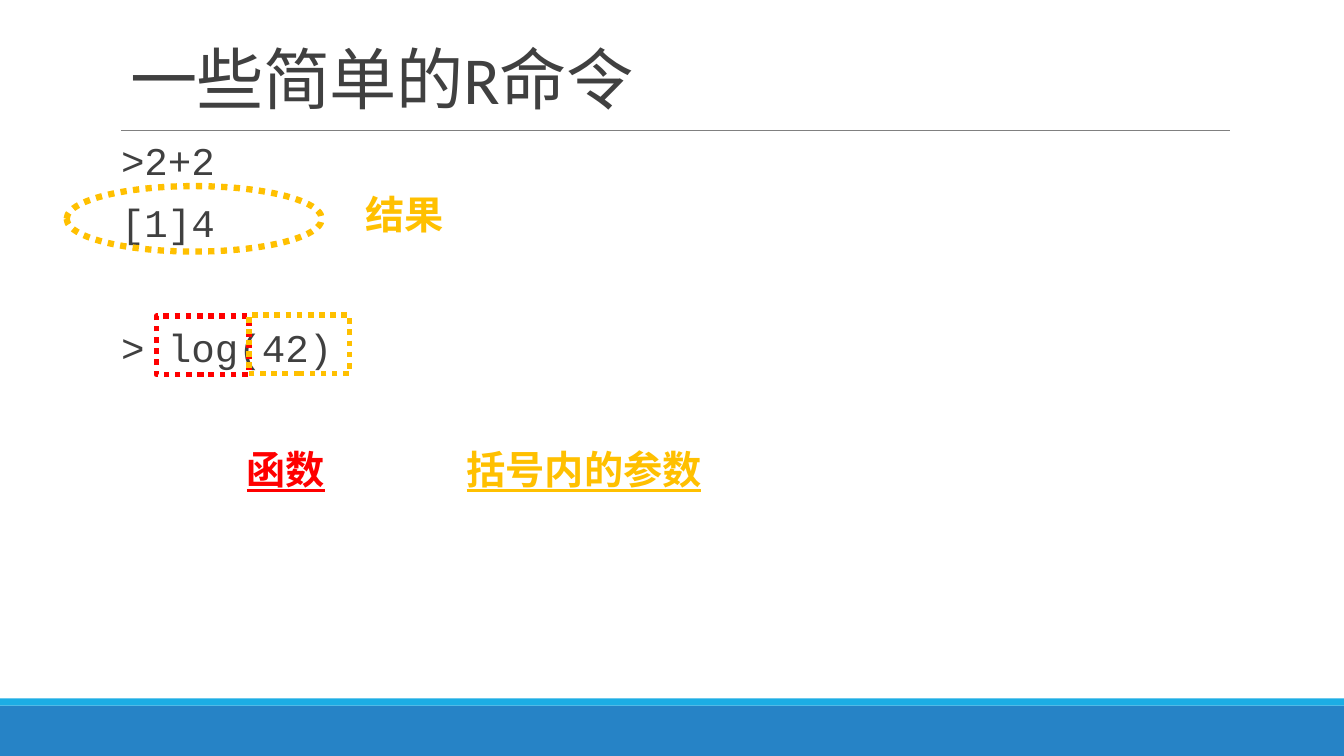
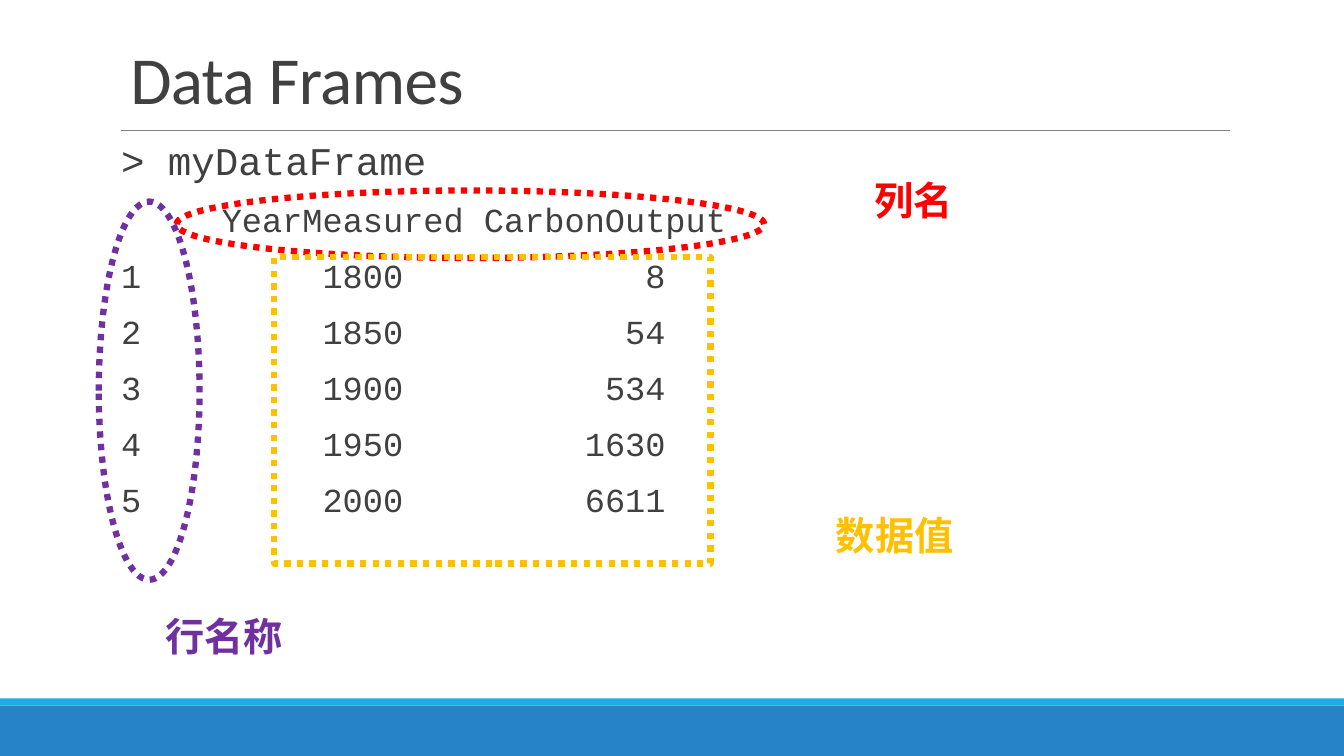
from lxml.etree import SubElement
from pptx import Presentation
from pptx.dml.color import RGBColor
from pptx.enum.dml import MSO_LINE
from pptx.enum.shapes import MSO_CONNECTOR, MSO_SHAPE
from pptx.enum.text import MSO_ANCHOR, MSO_AUTO_SIZE, PP_ALIGN
from pptx.oxml.ns import qn
from pptx.util import Cm, Pt

BLUE = RGBColor(0x26, 0x83, 0xC6)
CYAN = RGBColor(0x1C, 0xAD, 0xE4)
GREY = RGBColor(0x80, 0x80, 0x80)
DARK = RGBColor(0x40, 0x40, 0x40)
RED = RGBColor(0xFF, 0x00, 0x00)
GOLD = RGBColor(0xFF, 0xC0, 0x00)
PURPLE = RGBColor(0x70, 0x30, 0xA0)

WIDTH, HEIGHT = 33.87, 19.05
LEFT, CONTENT_WIDTH = 3.05, 27.94
LABEL_HEIGHT = 1.45
RECT, OVAL = MSO_SHAPE.RECTANGLE, MSO_SHAPE.OVAL
CODE_FONT = "Courier New"

TABLE_TOP, ROW_HEIGHT = 6.35, 1.41
COLUMN_WIDTHS = [2.54, 4.57, 6.61]
COLUMN_ALIGNS = [PP_ALIGN.LEFT, PP_ALIGN.RIGHT, PP_ALIGN.RIGHT]

SLIDES = [
    {
        "title": "一些简单的R命令",
        "lines": [(">2+2", 28, 12, 0), ("[1]4", 28, 12, 0), ("> log(42)", 28, 56.6, 0)],
        "rows": [],
        "marks": [
            (RECT, 3.94, 7.97, 2.34, 1.47, RED, 4),
            (RECT, 6.27, 7.94, 2.54, 1.47, GOLD, 4),
            (OVAL, 1.68, 4.69, 6.43, 1.65, GOLD, 4.5),
        ],
        "labels": [
            ("函数", 5.97, 11.1, 5.28, RED),
            ("括号内的参数", 11.51, 11.1, 15.67, GOLD),
            ("结果", 8.95, 4.67, 10.59, GOLD),
        ],
        "underlined": ("函数", "括号内的参数"),
        "align": PP_ALIGN.LEFT,
    },
    {
        "title": "Data Frames",
        "lines": [
            ("> myDataFrame", 28, 12, 0),
            ("YearMeasured CarbonOutput", 24, 12, 2.54),
        ],
        "rows": [(1, 1800, 8), (2, 1850, 54), (3, 1900, 534), (4, 1950, 1630), (5, 2000, 6611)],
        "marks": [
            (OVAL, 4.45, 4.8, 14.81, 1.7, RED, 4.5),
            (OVAL, 2.49, 5.08, 2.54, 9.53, PURPLE, 4.5),
            (RECT, 6.91, 6.48, 11, 7.72, GOLD, 4.5),
        ],
        "labels": [
            ("列名", 19.27, 4.32, 7.52, RED),
            ("行名称", 0, 15.31, 11.3, PURPLE),
            ("数据值", 19.27, 12.75, 6.55, GOLD),
        ],
        "underlined": (),
        "align": PP_ALIGN.CENTER,
    },
]


def place(shape, left, top, width, height):
    shape.left, shape.top = Cm(left), Cm(top)
    shape.width, shape.height = Cm(width), Cm(height)


def add_run(paragraph, text, size, color, font_name="Calibri"):
    run = paragraph.add_run()
    run.text = text
    run.font.name = font_name
    run.font.size = Pt(size)
    run.font.color.rgb = color
    return run


presentation = Presentation()
presentation.slide_width, presentation.slide_height = Cm(WIDTH), Cm(HEIGHT)
layout = presentation.slide_layouts[1]
place(layout.placeholders[0], 3.03, 0.34, CONTENT_WIDTH, 2.77)
place(layout.placeholders[1], LEFT, 3.45, CONTENT_WIDTH, 14.05)
slides = [presentation.slides.add_slide(layout) for _ in SLIDES]

shapes = slides[0].shapes
decorations = []
for top, height, color in [(17.78, 1.27, BLUE), (17.6, 0.18, CYAN)]:
    band = shapes.add_shape(RECT, 0, Cm(top), Cm(WIDTH), Cm(height))
    band.shadow.inherit = False
    band.fill.solid()
    band.fill.fore_color.rgb = color
    band.line.fill.background()
    decorations.append(band)
rule = shapes.add_connector(
    MSO_CONNECTOR.STRAIGHT, Cm(LEFT), Cm(3.28), Cm(LEFT + CONTENT_WIDTH), Cm(3.28)
)
rule.line.color.rgb = GREY
rule.line.width = Pt(0.5)
SubElement(rule.element.spPr, qn("a:effectLst"))
decorations.append(rule)
for index, decoration in enumerate(decorations):
    next(decoration.element.iter(qn("p:cNvPr"))).set("id", str(20 + index))
    layout.shapes.element.insert(2 + index, decoration.element)

for slide, content in zip(slides, SLIDES):
    title = slide.shapes.title
    title.text_frame.vertical_anchor = MSO_ANCHOR.BOTTOM
    title.text_frame.auto_size = MSO_AUTO_SIZE.NONE
    paragraph = title.text_frame.paragraphs[0]
    paragraph.alignment = PP_ALIGN.LEFT
    paragraph.line_spacing = 0.85
    add_run(paragraph, content["title"], 48, DARK)
    next(title.element.iter(qn("a:rPr"))).set("spc", "-50")

    body = slide.placeholders[1]
    frame = body.text_frame
    frame.auto_size = MSO_AUTO_SIZE.NONE
    frame.margin_left = frame.margin_right = 0
    for index, (text, size, space_before, indent) in enumerate(content["lines"]):
        paragraph = frame.add_paragraph() if index else frame.paragraphs[0]
        paragraph.line_spacing = 0.9
        paragraph.space_before = Pt(space_before)
        paragraph.space_after = Pt(2)
        add_run(paragraph, text, size, DARK, CODE_FONT)
        properties = list(body.element.iter(qn("a:pPr")))[-1]
        properties.set("marL", str(Cm(indent)))
        properties.set("indent", "0")
        SubElement(properties, qn("a:buNone"))

    if content["rows"]:
        row_count = len(content["rows"])
        table = slide.shapes.add_table(
            row_count, len(COLUMN_WIDTHS), Cm(LEFT), Cm(TABLE_TOP),
            Cm(sum(COLUMN_WIDTHS)), Cm(ROW_HEIGHT * row_count),
        ).table
        table.first_row = table.horz_banding = False
        for column, width in zip(table.columns, COLUMN_WIDTHS):
            column.width = Cm(width)
        for row, values in zip(table.rows, content["rows"]):
            row.height = Cm(ROW_HEIGHT)
            for cell, value, align in zip(row.cells, values, COLUMN_ALIGNS):
                cell.fill.background()
                cell.margin_left = cell.margin_right = 0
                cell.margin_top = cell.margin_bottom = 0
                cell.vertical_anchor = MSO_ANCHOR.MIDDLE
                paragraph = cell.text_frame.paragraphs[0]
                paragraph.alignment = align
                add_run(paragraph, str(value), 24, DARK, CODE_FONT)

    for preset, left, top, width, height, color, weight in content["marks"]:
        mark = slide.shapes.add_shape(preset, Cm(left), Cm(top), Cm(width), Cm(height))
        mark.shadow.inherit = False
        mark.fill.background()
        mark.line.color.rgb = color
        mark.line.width = Pt(weight)
        mark.line.dash_style = MSO_LINE.ROUND_DOT

    for text, left, top, width, color in content["labels"]:
        label = slide.shapes.add_textbox(Cm(left), Cm(top), Cm(width), Cm(LABEL_HEIGHT))
        label.text_frame.word_wrap = True
        paragraph = label.text_frame.paragraphs[0]
        paragraph.alignment = content["align"]
        run = add_run(paragraph, text, 28, color)
        run.font.bold = True
        run.font.underline = text in content["underlined"]

presentation.save("out.pptx")
